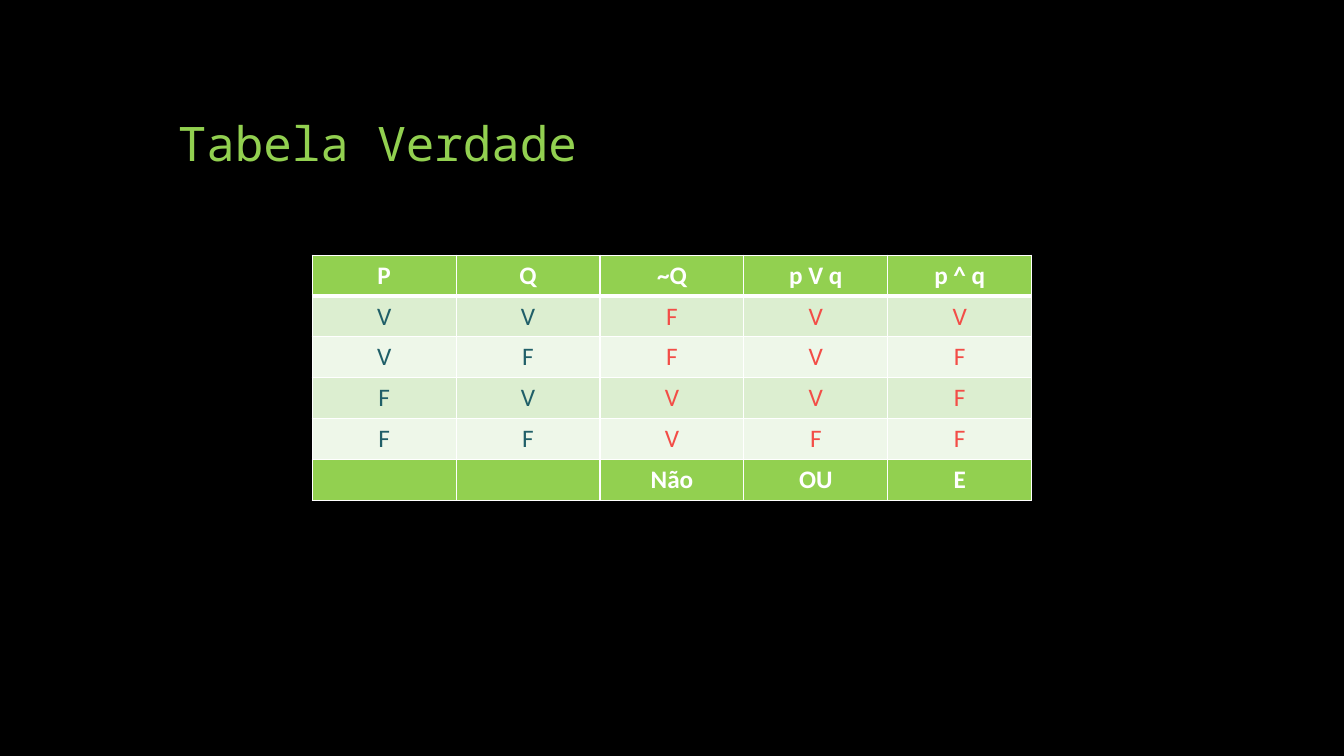
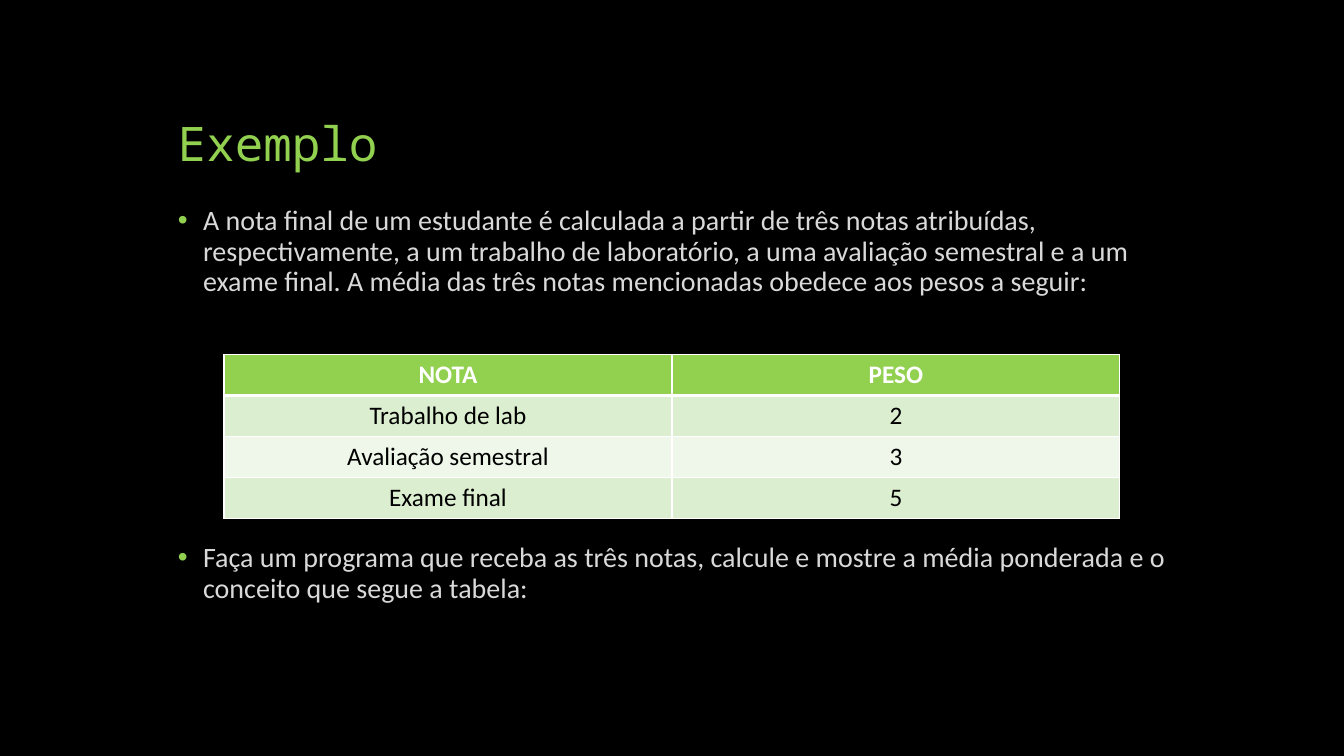
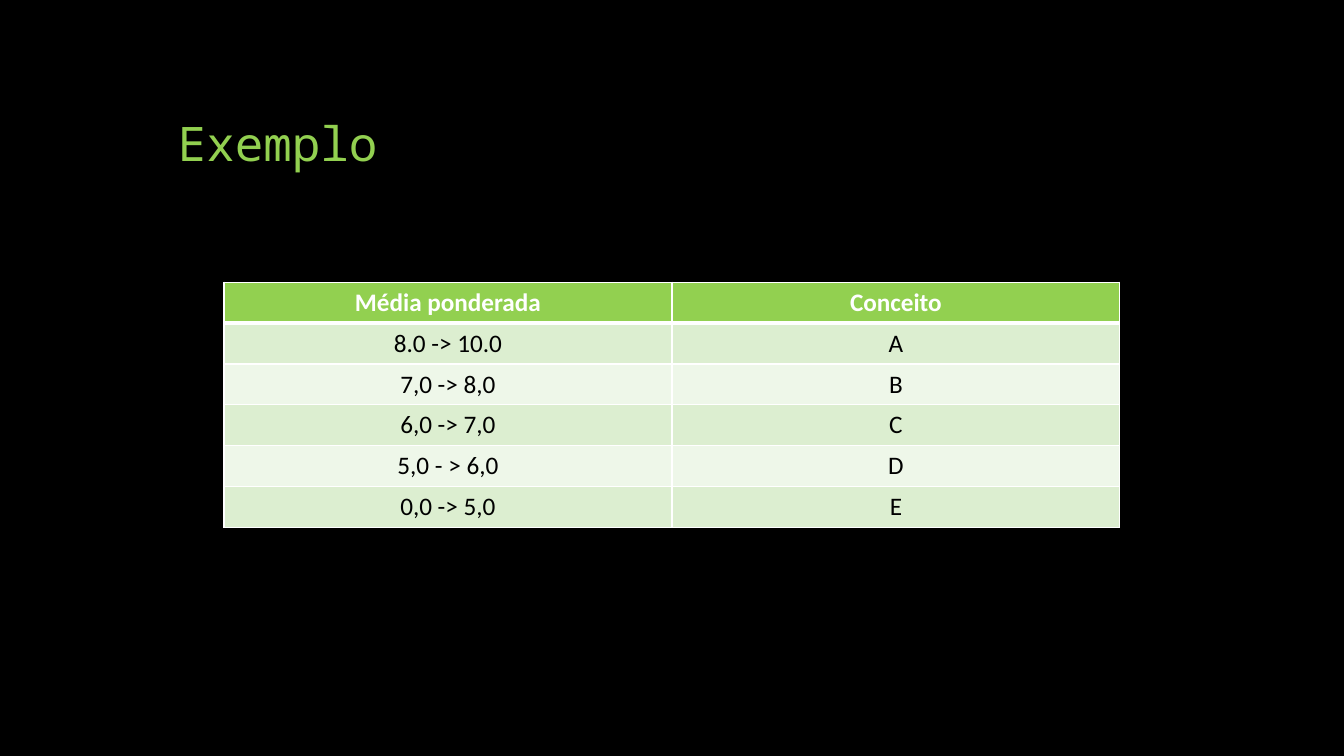
from lxml.etree import SubElement
from pptx import Presentation
from pptx.dml.color import RGBColor
from pptx.enum.text import MSO_ANCHOR as Anchor, PP_ALIGN as Align
from pptx.oxml import parse_xml
from pptx.oxml.ns import nsdecls, qn
from pptx.util import Pt

COLORS = {
    "black": "000000", "white": "FFFFFF", "green": "92D050", "gray": "D9D9D9",
    "teal": "205F68", "red": "F34D47", "band": "DCEED0", "pale": "EEF7E9",
}
FORMATS = {
    "title": {"name": "Noto Sans Mono", "size": Pt(34), "bold": False},
    "body": {"name": "Calibri", "size": Pt(20), "bold": False},
    "head": {"name": "Calibri", "size": Pt(18), "bold": True},
    "cell": {"name": "Calibri", "size": Pt(18), "bold": False},
}
PAGE_WIDTH, PAGE_HEIGHT = 960, 540
MARGIN, TEXT_WIDTH = 120, 720
ROW_HEIGHT = 29.2
BULLET_INDENT = 18

PAGES = [
    {
        "title": "Tabela Verdade",
        "rows": [
            ["P", "Q", "~Q", "p V q", "p ^ q"],
            ["V", "V", "F", "V", "V"],
            ["V", "F", "F", "V", "F"],
            ["F", "V", "V", "V", "F"],
            ["F", "F", "V", "F", "F"],
            ["", "", "Não", "OU", "E"],
        ],
        "top": 182.2,
        "column_width": 102.8,
        "column_colors": ["teal", "teal", "red", "red", "red"],
        "total_row": True,
    },
    {
        "title": "Exemplo",
        "bullets": [
            ("A nota final de um estudante é calculada a partir de três notas atribuídas, "
             "respectivamente, a um trabalho de laboratório, a uma avaliação semestral e a um "
             "exame final. A média das três notas mencionadas obedece aos pesos a seguir:", 0),
            ("Faça um programa que receba as três notas, calcule e mostre a média ponderada "
             "e o conceito que segue a tabela:", 176),
        ],
        "rows": [
            ["NOTA", "PESO"],
            ["Trabalho de lab", "2"],
            ["Avaliação semestral", "3"],
            ["Exame final", "5"],
        ],
        "top": 253.4,
        "column_width": 320,
        "column_colors": ["black", "black"],
        "total_row": False,
    },
    {
        "title": "Exemplo",
        "rows": [
            ["Média ponderada", "Conceito"],
            ["8.0 -> 10.0", "A"],
            ["7,0 -> 8,0", "B"],
            ["6,0 -> 7,0", "C"],
            ["5,0 - > 6,0", "D"],
            ["0,0 -> 5,0", "E"],
        ],
        "top": 201.6,
        "column_width": 320,
        "column_colors": ["black", "black"],
        "total_row": False,
    },
]


def write(para, text, style, color):
    span = para.add_run()
    span.text = text
    for name, value in FORMATS[style].items():
        setattr(span.font, name, value)
    span.font.color.rgb = RGBColor.from_string(COLORS[color])


def add_text_box(page, top, height, anchor):
    box = page.shapes.add_textbox(Pt(MARGIN), Pt(top), Pt(TEXT_WIDTH), Pt(height))
    box.text_frame.word_wrap = True
    box.text_frame.vertical_anchor = anchor
    return box.text_frame


deck = Presentation()
deck.slide_width, deck.slide_height = Pt(PAGE_WIDTH), Pt(PAGE_HEIGHT)

for content in PAGES:
    page = deck.slides.add_slide(deck.slide_layouts[6])
    page.background.fill.solid()
    page.background.fill.fore_color.rgb = RGBColor.from_string(COLORS["black"])

    para = add_text_box(page, 36, 90, Anchor.BOTTOM).paragraphs[0]
    para.line_spacing = 0.9
    write(para, content["title"], "title", "green")

    if "bullets" in content:
        frame = add_text_box(page, 144, 336, Anchor.TOP)
        for index, (text, space_before) in enumerate(content["bullets"]):
            para = frame.add_paragraph() if index else frame.paragraphs[0]
            para.line_spacing = 0.9
            para.space_before = Pt(space_before)
            write(para, text, "body", "gray")
            properties = para._p.get_or_add_pPr()
            properties.set("marL", str(Pt(BULLET_INDENT)))
            properties.set("indent", str(-Pt(BULLET_INDENT)))
            bullet_color = SubElement(properties, qn("a:buClr"))
            SubElement(bullet_color, qn("a:srgbClr"), val=COLORS["green"])
            SubElement(properties, qn("a:buFont"), typeface="Arial")
            SubElement(properties, qn("a:buChar"), char="•")

    rows = content["rows"]
    row_count, column_count = len(rows), len(rows[0])
    width = content["column_width"] * column_count
    table = page.shapes.add_table(
        row_count, column_count, Pt((PAGE_WIDTH - width) / 2), Pt(content["top"]),
        Pt(width), Pt(ROW_HEIGHT * row_count)).table
    for column in table.columns:
        column.width = Pt(content["column_width"])

    for row_index, texts in enumerate(rows):
        table.rows[row_index].height = Pt(ROW_HEIGHT)
        is_total = content["total_row"] and row_index == row_count - 1
        is_accent = row_index == 0 or is_total
        fill = "green" if is_accent else ("pale", "band")[row_index % 2]
        borders = {"L": 1, "R": 1, "T": 3 if row_index == 1 else 1, "B": 3 if row_index == 0 else 1}
        for column_index, text in enumerate(texts):
            cell = table.cell(row_index, column_index)
            cell.vertical_anchor = Anchor.MIDDLE
            cell_properties = cell._tc.get_or_add_tcPr()
            for side, weight in borders.items():
                cell_properties.append(parse_xml(
                    f'<a:ln{side} {nsdecls("a")} w="{Pt(weight)}"><a:solidFill>'
                    f'<a:srgbClr val="{COLORS["white"]}"/></a:solidFill></a:ln{side}>'))
            cell.fill.solid()
            cell.fill.fore_color.rgb = RGBColor.from_string(COLORS[fill])
            para = cell.text_frame.paragraphs[0]
            para.alignment = Align.CENTER
            if text:
                color = "white" if is_accent else content["column_colors"][column_index]
                write(para, text, "head" if is_accent else "cell", color)

deck.save("out.pptx")
